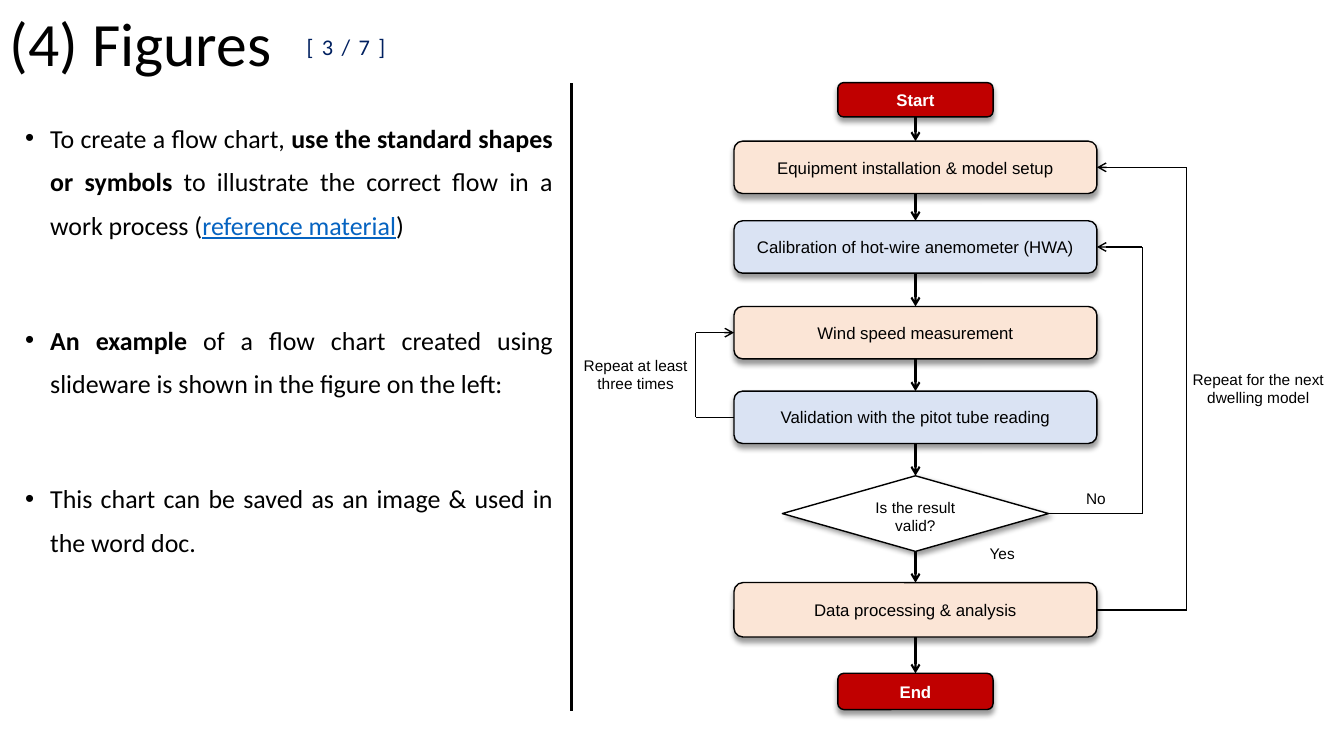
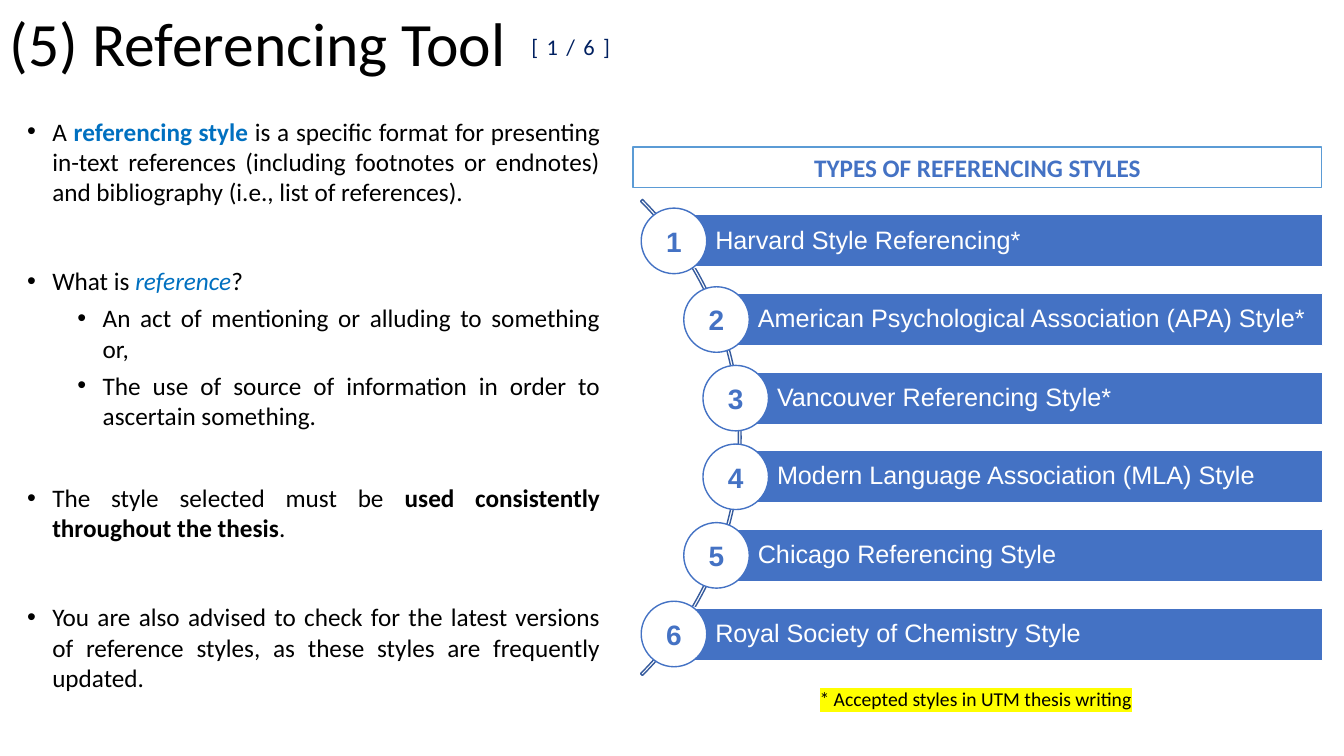
from itertools import pairwise
from math import sqrt

from lxml.etree import SubElement
from pptx import Presentation
from pptx.dml.color import RGBColor
from pptx.enum.shapes import MSO_CONNECTOR as Connector, MSO_SHAPE as Shape
from pptx.enum.text import MSO_ANCHOR as Anchor, PP_ALIGN as Align
from pptx.oxml.ns import qn
from pptx.util import Inches, Pt

BLACK = RGBColor(0x00, 0x00, 0x00)
WHITE = RGBColor(0xFF, 0xFF, 0xFF)
NAVY = RGBColor(0x00, 0x20, 0x60)
LINK = RGBColor(0x05, 0x63, 0xC1)
KEYWORD = RGBColor(0x00, 0x70, 0xC0)
RED = RGBColor(0xC0, 0x00, 0x00)
PEACH = RGBColor(0xFB, 0xE5, 0xD6)
PALE_BLUE = RGBColor(0xDA, 0xE3, 0xF3)
BLUE = RGBColor(0x44, 0x72, 0xC4)
ARC_BLUE = RGBColor(0x36, 0x5B, 0x9D)
FRAME_BLUE = RGBColor(0x5B, 0x9B, 0xD5)

# Bullets: (level, space before, [(text, emphasis)])
FIGURE_NOTES = [
    (0, 0, [("To create a flow chart, ", ""), ("use the standard shapes or symbols", "bold"),
            (" to illustrate the correct flow in a work process (", ""),
            ("reference material", "link"), (")", "")]),
    (0, 51, [("An example", "bold"),
             (" of a flow chart created using slideware is shown in the figure on the left:", "")]),
    (0, 51, [("This chart can be saved as an image & used in the word doc.", "")]),
]
REFERENCE_NOTES = [
    (0, 0, [("A ", ""), ("referencing style ", "key bold"),
            ("is a specific format for presenting in-text references (including footnotes "
             "or endnotes) and bibliography (i.e., list of references).", "")]),
    (0, 42, [("What is ", ""), ("reference", "key italic"), ("?", "")]),
    (1, 5, [("An act of mentioning or alluding to something or,", "")]),
    (1, 5, [("The use of source of information in order to ascertain something.", "")]),
    (0, 37, [("The style selected must be ", ""),
             ("used consistently throughout the thesis", "bold"), (".", "")]),
    (0, 42, [("You are also advised to check for the latest versions of reference styles, "
              "as these styles are frequently updated.", "")]),
]

# Flow chart kinds: shape, width, fill, text colour, size, bold, shadow angle
KINDS = {
    "terminal": (Shape.ROUNDED_RECTANGLE, 1.54, RED, WHITE, 12, True, 90),
    "work": (Shape.ROUNDED_RECTANGLE, 3.6, PEACH, BLACK, 12, False, 90),
    "check": (Shape.ROUNDED_RECTANGLE, 3.6, PALE_BLUE, BLACK, 12, False, 90),
    "decision": (Shape.DIAMOND, 2.64, WHITE, BLACK, 11, False, 45),
}
# Flow chart steps: kind, top, height, text
STEPS = [
    ("terminal", 0.82, 0.34, "Start"),
    ("work", 1.4, 0.52, "Equipment installation & model setup"),
    ("check", 2.19, 0.52, "Calibration of hot-wire anemometer (HWA)"),
    ("work", 3.04, 0.52, "Wind speed measurement"),
    ("check", 3.88, 0.52, "Validation with the pitot tube reading"),
    ("decision", 4.72, 0.75, "Is the result\nvalid?"),
    ("work", 5.78, 0.54, "Data processing & analysis"),
    ("terminal", 6.68, 0.36, "End"),
]
FLOW_X = 9.08
# Loops: from step, to step, side (-1 left, 1 right), x of the detour
LOOPS = [(4, 3, -1, 6.9), (5, 2, 1, 11.33), (6, 1, 1, 11.77)]
FLOW_LABELS = [
    ("No", 9.73, 4.8, 2.28, 0.29),
    ("Yes", 9.49, 5.35, 0.9, 0.29),
    ("Repeat at least three times", 5.67, 3.48, 1.27, 0.47),
    ("Repeat for the next dwelling model", 11.72, 3.62, 1.52, 0.47),
]

STYLES = [
    "Harvard Style Referencing*",
    "American Psychological Association (APA) Style*",
    "Vancouver Referencing Style*",
    "Modern Language Association (MLA) Style",
    "Chicago Referencing Style",
    "Royal Society of Chemistry Style",
]


def write(shape, text, size, color=BLACK, font="Arial", bold=False, align=Align.CENTER,
          anchor=Anchor.TOP, wrap=True):
    frame = shape.text_frame
    frame.text = text
    frame.word_wrap = wrap
    frame.vertical_anchor = anchor
    for paragraph in frame.paragraphs:
        paragraph.alignment = align
        paragraph.font.name = font
        paragraph.font.size = Pt(size)
        paragraph.font.bold = bold
        paragraph.font.color.rgb = color
    return frame


def add_label(slide, text, left, top, width, height, size, **look):
    box = slide.shapes.add_textbox(Inches(left), Inches(top), Inches(width), Inches(height))
    return write(box, text, size, **look)


def add_block(slide, kind, left, top, width, height, fill, line):
    block = slide.shapes.add_shape(kind, Inches(left), Inches(top), Inches(width), Inches(height))
    if fill is None:
        block.fill.background()
    else:
        block.fill.solid()
        block.fill.fore_color.rgb = fill
    block.line.color.rgb = line
    block.line.width = Pt(1)
    block.shadow.inherit = False
    return block


def cast_shadow(block, angle):
    effects = block._element.spPr.find(qn("a:effectLst"))
    shadow = SubElement(effects, qn("a:outerShdw"), blurRad=str(Pt(4)), dist=str(Pt(3)),
                        dir=str(angle * 60000), algn="t", rotWithShape="0")
    color = SubElement(shadow, qn("a:srgbClr"), val=str(BLACK))
    SubElement(color, qn("a:alpha"), val="40000")


def add_route(slide, points, width, arrow=True):
    """Join the points by straight lines, with an arrowhead at the last one."""
    for start, end in pairwise(points):
        line = slide.shapes.add_connector(Connector.STRAIGHT, *map(Inches, start + end))
        line.line.color.rgb = BLACK
        line.line.width = Pt(width)
        properties = line._element.spPr
        if arrow and end == points[-1]:
            SubElement(properties.find(qn("a:ln")), qn("a:tailEnd"), type="arrow")
        SubElement(properties, qn("a:effectLst"))


def add_notes(slide, notes, left, top, width, height, size, spacing):
    frame = add_label(slide, "", left, top, width, height, size)
    for index, (level, before, parts) in enumerate(notes):
        paragraph = frame.add_paragraph() if index else frame.paragraphs[0]
        properties = paragraph._p.get_or_add_pPr()
        properties.set("marL", str(Inches(0.25 + 0.5 * level)))
        properties.set("indent", str(Inches(-0.25)))
        for old in properties.findall(qn("a:defRPr")):
            properties.remove(old)
        SubElement(properties, qn("a:buFont"), typeface="Arial")
        SubElement(properties, qn("a:buChar"), char="•")
        paragraph.alignment = Align.JUSTIFY
        paragraph.line_spacing = spacing
        paragraph.space_before = Pt(before)
        paragraph.font.name = "Calibri"
        paragraph.font.size = Pt(size)
        paragraph.font.color.rgb = BLACK
        for text, emphasis in parts:
            run = paragraph.add_run()
            run.text = text
            if "bold" in emphasis:
                run.font.bold = True
            if "italic" in emphasis:
                run.font.italic = True
            if "key" in emphasis:
                run.font.color.rgb = KEYWORD
            if "link" in emphasis:
                run.font.color.rgb = LINK
                run.font.underline = True


def add_titled_slide(deck, title, page, page_left):
    slide = deck.slides.add_slide(deck.slide_layouts[6])
    heading = add_label(slide, title, 0, 0, 11.5, 0.93, 44, font="Calibri",
                        align=Align.LEFT, anchor=Anchor.MIDDLE)
    heading.paragraphs[0].line_spacing = 0.9
    counter = add_label(slide, page, page_left, 0.28, 1.07, 0.37, 16, color=NAVY,
                        font="Calibri", align=Align.RIGHT, wrap=False)
    counter.paragraphs[0].runs[0]._r.get_or_add_rPr().set("spc", "600")
    return slide


def build_figures(deck):
    slide = add_titled_slide(deck, "(4) Figures", "[3/7]", 2.85)
    add_notes(slide, FIGURE_NOTES, 0.15, 1.04, 5.43, 4.86, 18.5, 1.4)
    add_route(slide, [(5.67, 7.05), (5.67, 0.82)], 2.25, arrow=False)

    # Steps
    for kind, top, height, text in STEPS:
        outline, width, fill, color, size, bold, angle = KINDS[kind]
        step = add_block(slide, outline, FLOW_X - width / 2, top, width, height, fill, BLACK)
        cast_shadow(step, angle)
        frame = write(step, text, size, color, bold=bold, anchor=Anchor.MIDDLE)
        if kind == "decision":
            frame.margin_left = frame.margin_right = frame.margin_bottom = 0
            frame.margin_top = Inches(0.06)

    # Arrows down the chart, then the loops back
    for (_, top, height, _), (_, next_top, _, _) in pairwise(STEPS):
        add_route(slide, [(FLOW_X, top + height), (FLOW_X, next_top)], 1.5)
    for source, target, side, detour in LOOPS:
        (start_x, start_y), (end_x, end_y) = (
            (FLOW_X + side * KINDS[kind][1] / 2, top + height / 2)
            for kind, top, height, _ in (STEPS[source], STEPS[target]))
        add_route(slide, [(start_x, start_y), (detour, start_y),
                          (detour, end_y), (end_x, end_y)], 1)

    for label in FLOW_LABELS:
        add_label(slide, *label, 11)


def build_referencing(deck):
    slide = add_titled_slide(deck, "(5) Referencing Tool", "[1/6]", 5.08)
    add_notes(slide, REFERENCE_NOTES, 0.17, 1.1, 5.88, 5.95, 18, 1.0)

    header = add_block(slide, Shape.RECTANGLE, 6.28, 1.46, 6.83, 0.4, WHITE, FRAME_BLUE)
    write(header, "TYPES OF REFERENCING STYLES", 18, BLUE, "Calibri", bold=True,
          anchor=Anchor.MIDDLE)

    # Thin arc that carries the numbered circles
    arc_x, arc_y, radius = 4.01, 4.34, 3.34
    arc = add_block(slide, Shape.BLOCK_ARC, arc_x - radius, arc_y - radius,
                    2 * radius, 2 * radius, None, ARC_BLUE)
    for index, value in enumerate((189, 27, 0.004)):
        arc.adjustments[index] = value

    # One bar and circle for each style, centred on the arc
    pitch, bar_height, circle, right, track = 0.78, 0.52, 0.65, 13.12, 3.31
    for index, style in enumerate(STYLES):
        rise = (index - (len(STYLES) - 1) / 2) * pitch
        x, y = arc_x + sqrt(track ** 2 - rise ** 2), arc_y + rise
        bar = add_block(slide, Shape.RECTANGLE, x, y - bar_height / 2, right - x, bar_height,
                        BLUE, WHITE)
        frame = write(bar, style, 18, WHITE, align=Align.LEFT, anchor=Anchor.MIDDLE)
        frame.margin_left, frame.margin_right = Inches(0.41), Inches(0.05)
        frame.paragraphs[0].line_spacing = 0.9
        badge = add_block(slide, Shape.OVAL, x - circle / 2, y - circle / 2, circle, circle,
                          WHITE, BLUE)
        frame = write(badge, str(index + 1), 20, BLUE, bold=True, anchor=Anchor.MIDDLE)
        frame.margin_left = frame.margin_right = 0

    # Highlighted footnote
    footnote = add_label(slide, "* Accepted styles in UTM thesis writing", 8.03, 6.77, 3.33, 0.34,
                         14, font="Calibri", align=Align.LEFT, wrap=False)
    properties = footnote.paragraphs[0].runs[0]._r.get_or_add_rPr()
    SubElement(SubElement(properties, qn("a:highlight")), qn("a:srgbClr"), val="FFFF00")


def main():
    deck = Presentation()
    deck.slide_width, deck.slide_height = Inches(13.33), Inches(7.5)
    build_figures(deck)
    build_referencing(deck)
    deck.save("out.pptx")


if __name__ == "__main__":
    main()
